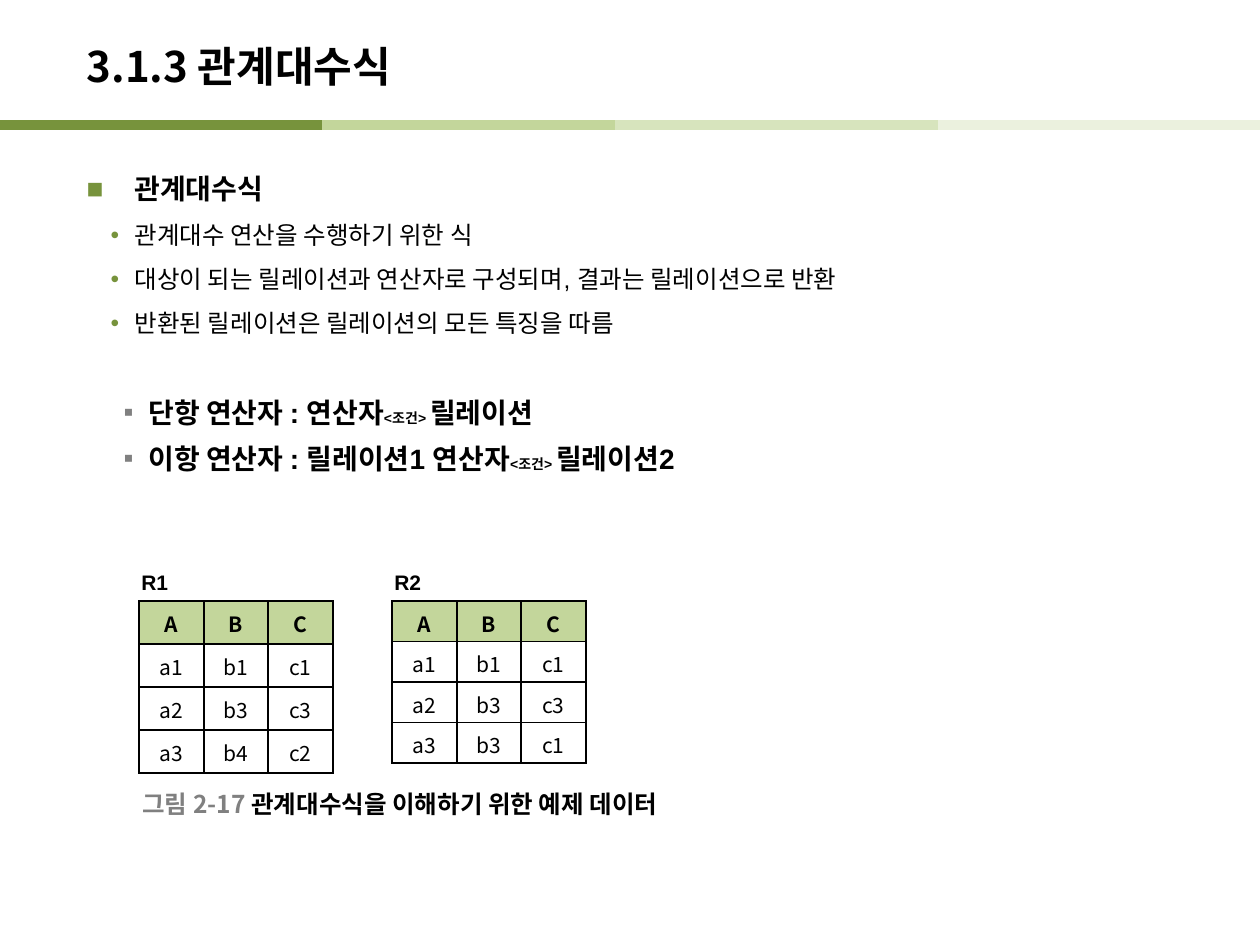
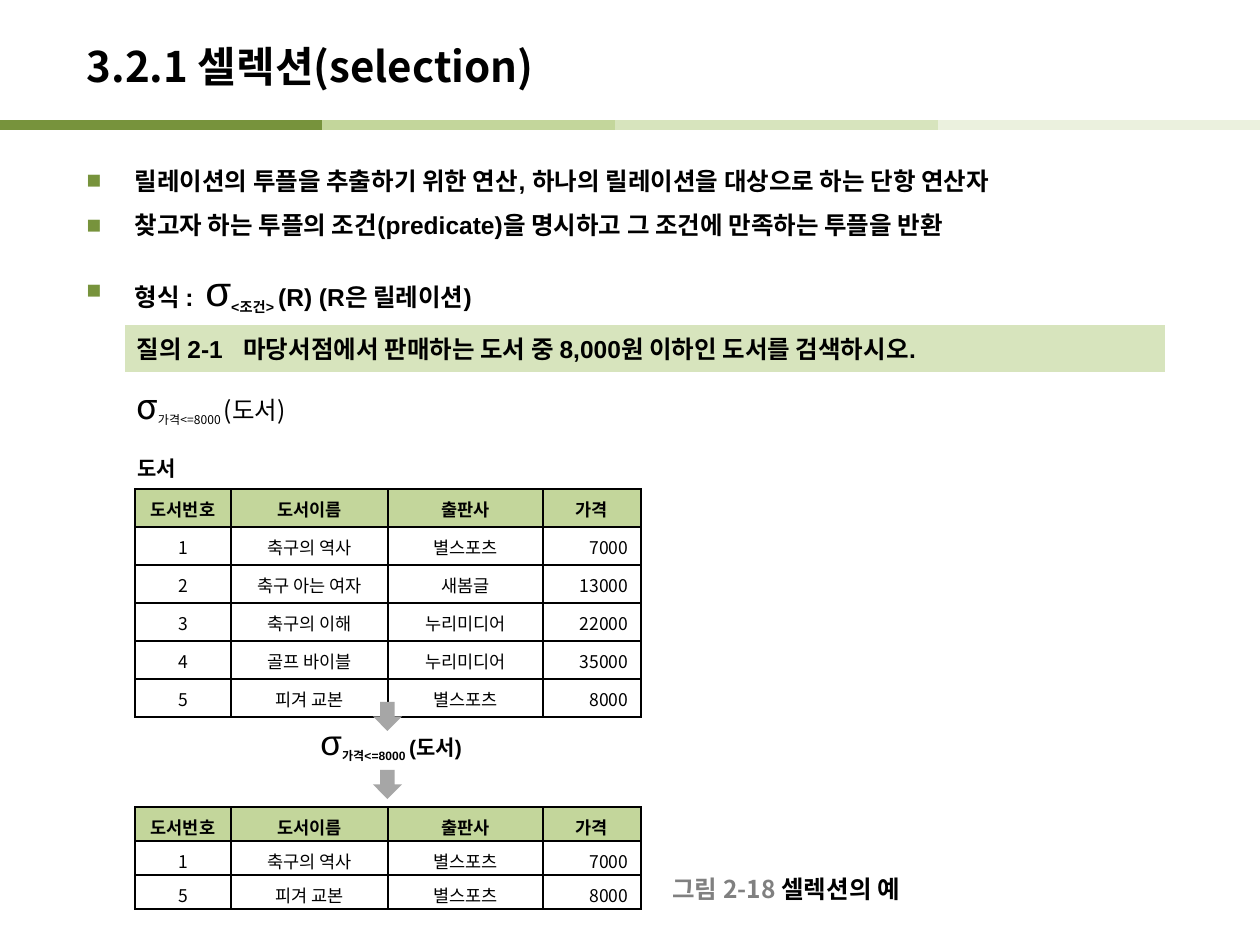
import pptx
import pptx.util
import pptx.dml.color
import pptx.enum.dml
import pptx.enum.shapes
import pptx.enum.text
import pptx.oxml.ns
from lxml import etree

PX = 914400 / 126
BLACK = pptx.dml.color.RGBColor(0x00, 0x00, 0x00)
WHITE = pptx.dml.color.RGBColor(0xFF, 0xFF, 0xFF)
GRAY = pptx.dml.color.RGBColor(0x80, 0x80, 0x80)
ARROW_GRAY = pptx.dml.color.RGBColor(0xA6, 0xA6, 0xA6)
DARK_GREEN = pptx.dml.color.RGBColor(0x77, 0x93, 0x3C)
GREEN = pptx.dml.color.RGBColor(0xC3, 0xD6, 0x9B)
LIGHT_GREEN = pptx.dml.color.RGBColor(0xD7, 0xE4, 0xBD)
PALE_GREEN = pptx.dml.color.RGBColor(0xEB, 0xF1, 0xDE)
LATIN, KOREAN = "Arial", "Noto Sans CJK KR"
ALIGN = pptx.enum.text.PP_ALIGN
MIDDLE = pptx.enum.text.MSO_ANCHOR.MIDDLE
qn = pptx.oxml.ns.qn


def write_runs(paragraph, typeface, runs):
    for text, size, bold, color, baseline in runs:
        run = paragraph.add_run()
        run.text = text
        run.font.size = pptx.util.Pt(size)
        run.font.bold = bold
        run.font.name = typeface
        run.font.color.rgb = color
        properties = run.font._element
        properties.set("kern", "0")
        if baseline:
            properties.set("baseline", str(baseline * 1000))
        etree.SubElement(properties, qn("a:ea")).set("typeface", KOREAN)


def add_relation(slide, left, top, widths, row_height, bottom_margin, size, rows):
    table = slide.shapes.add_table(
        len(rows), len(widths), round(left * PX), round(top * PX),
        round(sum(widths) * PX), round(row_height * len(rows) * PX)).table
    table.first_row = table.horz_banding = False
    for column, width in zip(table.columns, widths):
        column.width = round(width * PX)
    for r, values in enumerate(rows):
        table.rows[r].height = round(row_height * PX)
        for c, value in enumerate(values):
            cell = table.cell(r, c)
            cell.margin_top = round(7 * PX)
            cell.margin_bottom = round(bottom_margin * PX)
            cell.vertical_anchor = MIDDLE
            if r == 0:
                cell.fill.solid()
                cell.fill.fore_color.rgb = GREEN
            else:
                cell.fill.background()
            paragraph = cell.text_frame.paragraphs[0]
            paragraph.alignment = ALIGN.RIGHT if r and c == 3 else ALIGN.CENTER
            write_runs(paragraph, KOREAN, [(value, size, r == 0, BLACK, 0)])
            for position, side in enumerate(("lnL", "lnR", "lnT", "lnB")):
                border = etree.Element(qn("a:" + side), w="12700")
                fill = etree.SubElement(border, qn("a:solidFill"))
                etree.SubElement(fill, qn("a:srgbClr")).set("val", str(BLACK))
                cell._tc.get_or_add_tcPr().insert(position, border)


SQUARE = ("■", DARK_GREEN, 0, 48, -48, 1.5)
DOT = ("•", DARK_GREEN, 0, 48, -24, 1.5)
SMALL_SQUARE = ("▪", GRAY, 1, 62, -25, 1.0)

contents = [
    ("3.1.3 관계대수식", 149, [
        (SQUARE, 0, 0, [("관계대수식", 16, True, BLACK, 0)]),
        (DOT, 0, 0, [("관계대수 연산을 수행하기 위한 식", 14, False, BLACK, 0)]),
        (DOT, 0, 0, [("대상이 되는 릴레이션과 연산자로 구성되며, 결과는 릴레이션으로 반환", 14, False, BLACK, 0)]),
        (DOT, 0, 0, [("반환된 릴레이션은 릴레이션의 모든 특징을 따름", 14, False, BLACK, 0)]),
        (SMALL_SQUARE, 33, 4, [
            ("단항 연산자 : 연산자", 16, True, BLACK, 0),
            ("<조건> ", 8, True, BLACK, 0),
            ("릴레이션", 16, True, BLACK, 0)]),
        (SMALL_SQUARE, 3, 4, [
            ("이항 연산자 : 릴레이션1 연산자", 16, True, BLACK, 0),
            ("<조건> ", 8, True, BLACK, 0),
            ("릴레이션2", 16, True, BLACK, 0)]),
    ]),
    ("3.2.1 셀렉션(selection)", 145, [
        (SQUARE, 0, 0, [("릴레이션의 투플을 추출하기 위한 연산, 하나의 릴레이션을 대상으로 하는 단항 연산자", 14, True, BLACK, 0)]),
        (SQUARE, 0, 0, [("찾고자 하는 투플의 조건(predicate)을 명시하고 그 조건에 만족하는 투플을 반환", 14, True, BLACK, 0)]),
        (SQUARE, 0, 0, [
            ("형식 :", 14, True, BLACK, 0),
            (" ", 24, True, BLACK, 0),
            ("σ", 24, False, BLACK, 0),
            ("<조건> ", 14, True, BLACK, -25),
            ("(R) (R은 릴레이션)", 14, True, BLACK, 0)]),
    ]),
]

presentation = pptx.Presentation()
presentation.slide_width = round(1260 * PX)
presentation.slide_height = round(945 * PX)

for heading, body_top, items in contents:
    slide = presentation.slides.add_slide(presentation.slide_layouts[1])
    band_edges = [0, 322, 615, 938, 1260]
    for start, end, color in zip(band_edges, band_edges[1:], (DARK_GREEN, GREEN, LIGHT_GREEN, PALE_GREEN)):
        band = slide.shapes.add_connector(
            pptx.enum.shapes.MSO_CONNECTOR.STRAIGHT,
            round(start * PX), round(125 * PX), round(end * PX), round(125 * PX))
        band.line.color.rgb = color
        band.line.width = pptx.util.Pt(6)
        etree.SubElement(band._element.spPr, qn("a:effectLst"))

    title, body = slide.placeholders
    for placeholder, top, width, height in ((title, 28, 1042, 76), (body, body_top, 1111, 753)):
        placeholder.left, placeholder.top = round(74 * PX), round(top * PX)
        placeholder.width, placeholder.height = round(width * PX), round(height * PX)
        placeholder.text_frame.auto_size = pptx.enum.text.MSO_AUTO_SIZE.NONE
    title.text_frame.vertical_anchor = MIDDLE
    title.text_frame.paragraphs[0].alignment = ALIGN.LEFT
    write_runs(title.text_frame.paragraphs[0], KOREAN, [(heading, 24, True, BLACK, 0)])

    body.text_frame.margin_top = round(6 * PX)
    for number, (bullet, before, after, runs) in enumerate(items):
        paragraph = body.text_frame.add_paragraph() if number else body.text_frame.paragraphs[0]
        symbol, color, level, margin, indent, spacing = bullet
        paragraph.level = level
        paragraph.line_spacing = spacing
        paragraph.space_before = pptx.util.Pt(before)
        paragraph.space_after = pptx.util.Pt(after)
        properties = paragraph._p.get_or_add_pPr()
        properties.set("marL", str(round(margin * PX)))
        properties.set("indent", str(round(indent * PX)))
        bullet_color = etree.SubElement(properties, qn("a:buClr"))
        etree.SubElement(bullet_color, qn("a:srgbClr")).set("val", str(color))
        etree.SubElement(properties, qn("a:buFont")).set("typeface", LATIN)
        etree.SubElement(properties, qn("a:buChar")).set("char", symbol)
        write_runs(paragraph, LATIN, runs)

algebra, selection = presentation.slides

attributes = ["A", "B", "C"]
r1 = [attributes, ["a1", "b1", "c1"], ["a2", "b3", "c3"], ["a3", "b4", "c2"]]
r2 = [attributes, ["a1", "b1", "c1"], ["a2", "b3", "c3"], ["a3", "b3", "c1"]]
add_relation(algebra, 139, 601, [65, 64, 65], 43, 5, 12, r1)
add_relation(algebra, 392, 601, [65, 64, 65], 40, 3, 12, r2)

query = selection.shapes.add_table(
    2, 1, round(124 * PX), round(324 * PX), round(1042 * PX), round(111 * PX)).table
query.first_row = query.horz_banding = False
query_rows = [
    (48, LIGHT_GREEN, LATIN, [("질의 2-1   마당서점에서 판매하는 도서 중 8,000원 이하인 도서를 검색하시오.", 14, True, BLACK, 0)]),
    (63, WHITE, KOREAN, [
        ("σ", 20, False, BLACK, 0),
        ("가격<=8000 ", 12, False, BLACK, -25),
        ("(도서)", 14, False, BLACK, 0)]),
]
for r, (height, color, typeface, runs) in enumerate(query_rows):
    query.rows[r].height = round(height * PX)
    cell = query.cell(r, 0)
    cell.vertical_anchor = MIDDLE
    cell.fill.solid()
    cell.fill.fore_color.rgb = color
    write_runs(cell.text_frame.paragraphs[0], typeface, runs)

books = [
    ["도서번호", "도서이름", "출판사", "가격"],
    ["1", "축구의 역사", "별스포츠", "7000"],
    ["2", "축구 아는 여자", "새봄글", "13000"],
    ["3", "축구의 이해", "누리미디어", "22000"],
    ["4", "골프 바이블", "누리미디어", "35000"],
    ["5", "피겨 교본", "별스포츠", "8000"],
]
cheap_books = [books[0]] + [book for book in books[1:] if int(book[3]) <= 8000]
book_widths = [96, 157, 155, 98]
add_relation(selection, 135, 489, book_widths, 38, 5, 10, books)
add_relation(selection, 135, 807, book_widths, 34, 1, 10, cheap_books)

for arrow_top in (702, 770):
    arrow = selection.shapes.add_shape(
        pptx.enum.shapes.MSO_SHAPE.DOWN_ARROW,
        round(373 * PX), round(arrow_top * PX), round(29 * PX), round(29 * PX))
    arrow.shadow.inherit = False
    arrow.fill.solid()
    arrow.fill.fore_color.rgb = ARROW_GRAY
    arrow.line.fill.background()

labels = [
    (algebra, 129, 563, 60, 38, LATIN, [("R1", 12, True, BLACK, 0)]),
    (algebra, 382, 563, 60, 38, LATIN, [("R2", 12, True, BLACK, 0)]),
    (algebra, 130, 784, 580, 39, KOREAN, [
        ("그림 2-17 ", 14, True, GRAY, 0),
        ("관계대수식을 이해하기 위한 예제 데이터", 14, True, BLACK, 0)]),
    (selection, 125, 449, 80, 38, LATIN, [("도서", 12, True, BLACK, 0)]),
    (selection, 308, 714, 220, 55, LATIN, [
        ("σ", 20, False, BLACK, 0),
        ("가격<=8000 ", 12, True, BLACK, -25),
        ("(도서)", 12, True, BLACK, 0)]),
    (selection, 660, 869, 300, 39, KOREAN, [
        ("그림 2-18 ", 14, True, GRAY, 0),
        ("셀렉션의 예", 14, True, BLACK, 0)]),
]
for slide, left, top, width, height, typeface, runs in labels:
    label = slide.shapes.add_textbox(
        round(left * PX), round(top * PX), round(width * PX), round(height * PX))
    label.text_frame.word_wrap = True
    label.text_frame.vertical_anchor = MIDDLE
    write_runs(label.text_frame.paragraphs[0], typeface, runs)

presentation.save("out.pptx")
